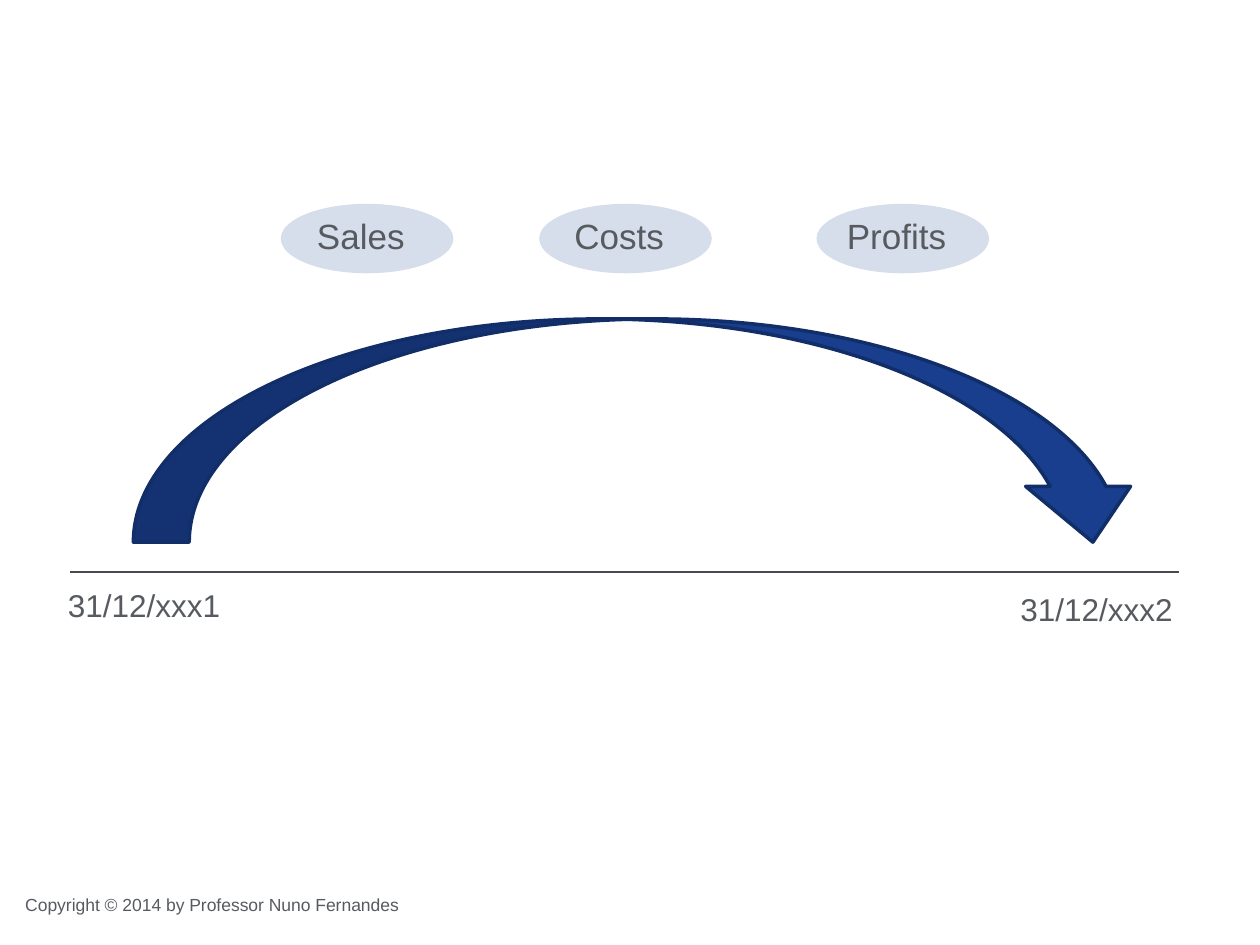
import pptx
import pptx.dml.color
import pptx.enum.shapes
import pptx.enum.text
import pptx.oxml
import pptx.oxml.ns
import pptx.util
from pptx.util import Cm

SHAPES = pptx.enum.shapes.MSO_SHAPE
ALIGN = pptx.enum.text.PP_ALIGN
ANCHOR = pptx.enum.text.MSO_ANCHOR
GREY = "575B60"
TIGHT = (0, 0, 0.25, 0.13)
NORMAL = (0.25, 0.13, 0.25, 0.13)


def color(value):
    return pptx.dml.color.RGBColor.from_string(value)


def write(shape, text, size=18, align=ALIGN.LEFT, anchor=ANCHOR.TOP, insets=NORMAL):
    """Fill a shape's text frame; insets are left, top, right, bottom in cm."""
    frame = shape.text_frame
    frame.word_wrap = True
    frame.vertical_anchor = anchor
    (frame.margin_left, frame.margin_top,
     frame.margin_right, frame.margin_bottom) = map(Cm, insets)
    para = frame.paragraphs[0]
    para.alignment = align
    span = para.add_run()
    span.text = text
    span.font.name = "Arial"
    span.font.size = pptx.util.Pt(size)
    span.font.color.rgb = color(GREY)


def add_text(page, text, left, top, width, height, **text_format):
    box = page.shapes.add_textbox(Cm(left), Cm(top), Cm(width), Cm(height))
    write(box, text, **text_format)


def add_shape(page, kind, left, top, width, height, fill, line=None):
    shape = page.shapes.add_shape(kind, Cm(left), Cm(top), Cm(width), Cm(height))
    shape.shadow.inherit = False
    shape.fill.solid()
    shape.fill.fore_color.rgb = color(fill)
    if line:
        shape.line.color.rgb = color(line)
        shape.line.width = pptx.util.Pt(2)
    else:
        shape.line.fill.background()
    return shape


def add_timeline(page, left, right, top):
    line = page.shapes.add_connector(
        pptx.enum.shapes.MSO_CONNECTOR.STRAIGHT, Cm(left), Cm(top), Cm(right), Cm(top))
    line.line.color.rgb = color("474A4F")
    line.line.width = pptx.util.Pt(0.75)
    properties = line._element.spPr
    properties.append(pptx.oxml.parse_xml(
        f"<a:effectLst {pptx.oxml.ns.nsdecls('a')}/>"))


def add_period_arrow(page):
    arrow = add_shape(page, SHAPES.CURVED_DOWN_ARROW, 2.69, 6.43, 20.4, 4.5,
                      "193E8E", line="122E69")
    arrow.adjustments[1] = 0.47


def add_flow(page, text, left):
    ellipse = add_shape(page, SHAPES.OVAL, left, 4.11, 3.48, 1.4, "D6DDEB")
    write(ellipse, text, size=20, align=ALIGN.CENTER, anchor=ANCHOR.MIDDLE, insets=TIGHT)


def main():
    deck = pptx.Presentation()
    deck.slide_width, deck.slide_height = Cm(25.4), Cm(19.05)
    page = deck.slides.add_slide(deck.slide_layouts[6])

    add_text(page, "Copyright © 2014 by Professor Nuno Fernandes",
             0.51, 18.03, 16.54, 0.56, size=10, insets=TIGHT)
    add_timeline(page, 1.42, 23.77, 11.53)
    add_text(page, "31/12/xxx1", 1.12, 11.68, 3.91, 1.02)
    add_text(page, "31/12/xxx2", 20.32, 11.76, 3.91, 1.02)
    add_period_arrow(page)
    for text, left in (("Sales", 5.66), ("Costs", 10.87), ("Profits", 16.46)):
        add_flow(page, text, left)

    deck.save("out.pptx")


if __name__ == "__main__":
    main()
